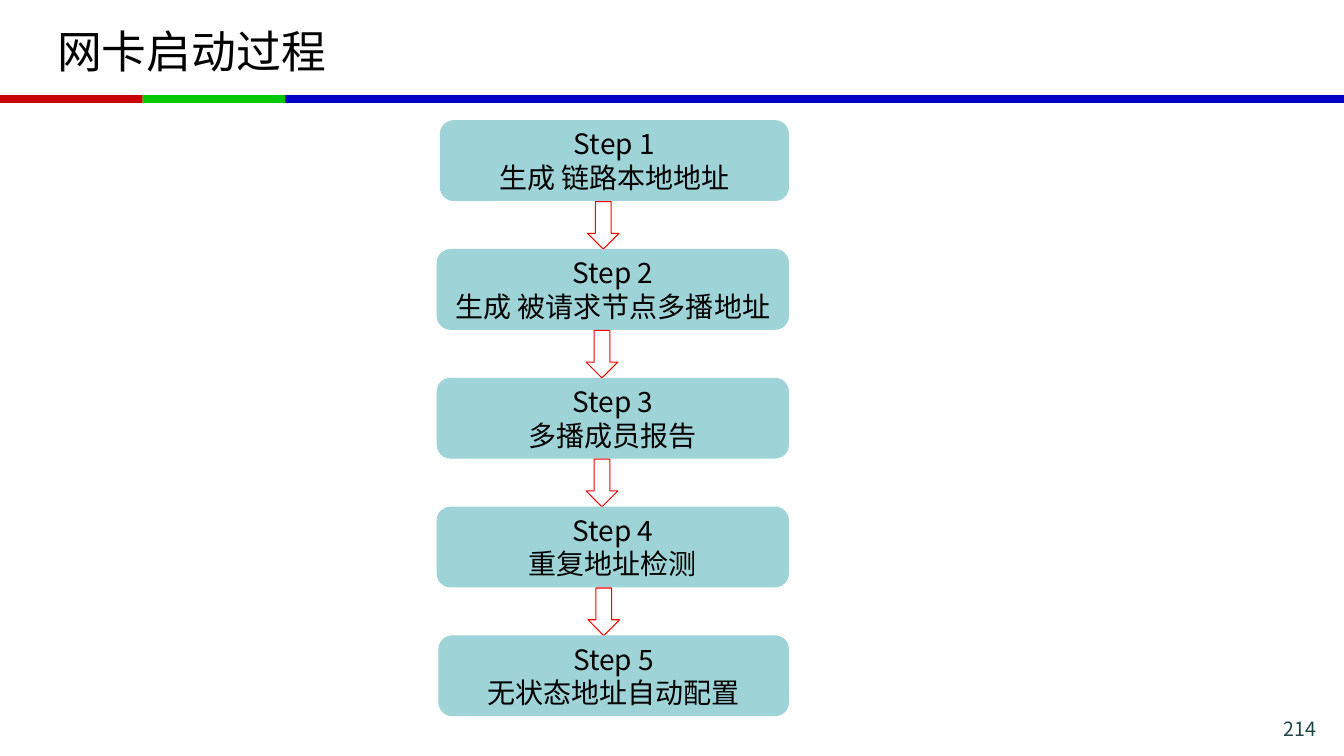
from dataclasses import dataclass

from lxml.etree import Element
from pptx import Presentation
from pptx.dml.color import RGBColor
from pptx.enum.shapes import MSO_SHAPE as Preset
from pptx.enum.text import MSO_ANCHOR as Anchor, PP_ALIGN as Align
from pptx.oxml.ns import qn
from pptx.shapes.autoshape import Shape
from pptx.slide import Slide
from pptx.util import Pt

FONT = "Noto Sans CJK SC"
COLORS = {
    "blue": "0000C8",
    "red": "C80000",
    "green": "00C800",
    "step": "9ED3D7",
    "arrow": "FF0000",
    "text": "000000",
    "number": "1E4649",
}
PAGE_WIDTH, PAGE_HEIGHT = 960, 540
BAR_TOP, BAR_HEIGHT = 67.9, 5.7
STEP_TOP, STEP_PITCH, STEP_HEIGHT = 86.2, 92, 57
STEP_RIGHT = 563.2
ARROW_OFFSET, ARROW_WIDTH, ARROW_HEIGHT = 57.8, 22.6, 34


@dataclass(frozen=True)
class Bar:
    left: float
    width: float
    color: str


@dataclass(frozen=True)
class Step:
    label: str
    left: float
    arrow_left: float | None = None


BARS = [
    Bar(201, 759, "blue"),
    Bar(0, 102, "red"),
    Bar(102, 102, "green"),
]
STEPS = [
    Step("生成 链路本地地址", 314.6, 419.6),
    Step("生成 被请求节点多播地址", 312.3, 418.7),
    Step("多播成员报告", 312.3, 418.7),
    Step("重复地址检测", 312.3, 420),
    Step("无状态地址自动配置", 313.5),
]


def rgb(name: str) -> RGBColor:
    return RGBColor.from_string(COLORS[name])


def add_preset(page: Slide, preset: Preset, left: float, top: float,
               width: float, height: float, fill: str | None = None,
               line: str | None = None) -> Shape:
    shape = page.shapes.add_shape(preset, Pt(left), Pt(top), Pt(width), Pt(height))
    shape.shadow.inherit = False
    if fill:
        shape.fill.solid()
        shape.fill.fore_color.rgb = rgb(fill)
    else:
        shape.fill.background()
    if line:
        shape.line.color.rgb = rgb(line)
        shape.line.width = Pt(0.75)
    else:
        shape.line.fill.background()
    return shape


def write(box: Shape, lines: list[str], size: float, color: str,
          align: Align, anchor: Anchor) -> None:
    frame = box.text_frame
    frame.word_wrap = True
    frame.vertical_anchor = anchor
    frame.text = "\n".join(lines)
    for para in frame.paragraphs:
        para.alignment = align
        para.font.name = FONT
        para.font.size = Pt(size)
        para.font.color.rgb = rgb(color)
    for latin in list(box.element.iter(qn("a:latin"))):
        latin.addnext(Element(qn("a:ea"), typeface=FONT))


def add_text(page: Slide, text: str, left: float, top: float, width: float,
             height: float, size: float, color: str, align: Align,
             anchor: Anchor) -> None:
    box = page.shapes.add_textbox(Pt(left), Pt(top), Pt(width), Pt(height))
    write(box, [text], size, color, align, anchor)


def add_step(page: Slide, index: int, step: Step) -> None:
    top = STEP_TOP + index * STEP_PITCH
    box = add_preset(page, Preset.ROUNDED_RECTANGLE, step.left, top,
                     STEP_RIGHT - step.left, STEP_HEIGHT, "step", "step")
    write(box, [f"Step {index + 1}", step.label], 20, "text",
          Align.CENTER, Anchor.MIDDLE)
    if step.arrow_left is not None:
        add_preset(page, Preset.DOWN_ARROW, step.arrow_left, top + ARROW_OFFSET,
                   ARROW_WIDTH, ARROW_HEIGHT, line="arrow")


def main() -> None:
    deck = Presentation()
    deck.slide_width, deck.slide_height = Pt(PAGE_WIDTH), Pt(PAGE_HEIGHT)
    page = deck.slides.add_slide(deck.slide_layouts[6])
    for bar in BARS:
        add_preset(page, Preset.RECTANGLE, bar.left, BAR_TOP, bar.width,
                   BAR_HEIGHT, bar.color)
    add_text(page, "网卡启动过程", 33.8, 5.8, 892, 60.5, 32, "text",
             Align.LEFT, Anchor.MIDDLE)
    add_text(page, "214", 854, 508.3, 93.6, 20.2, 14, "number",
             Align.RIGHT, Anchor.TOP)
    for index, step in enumerate(STEPS):
        add_step(page, index, step)
    deck.save("out.pptx")


if __name__ == "__main__":
    main()
